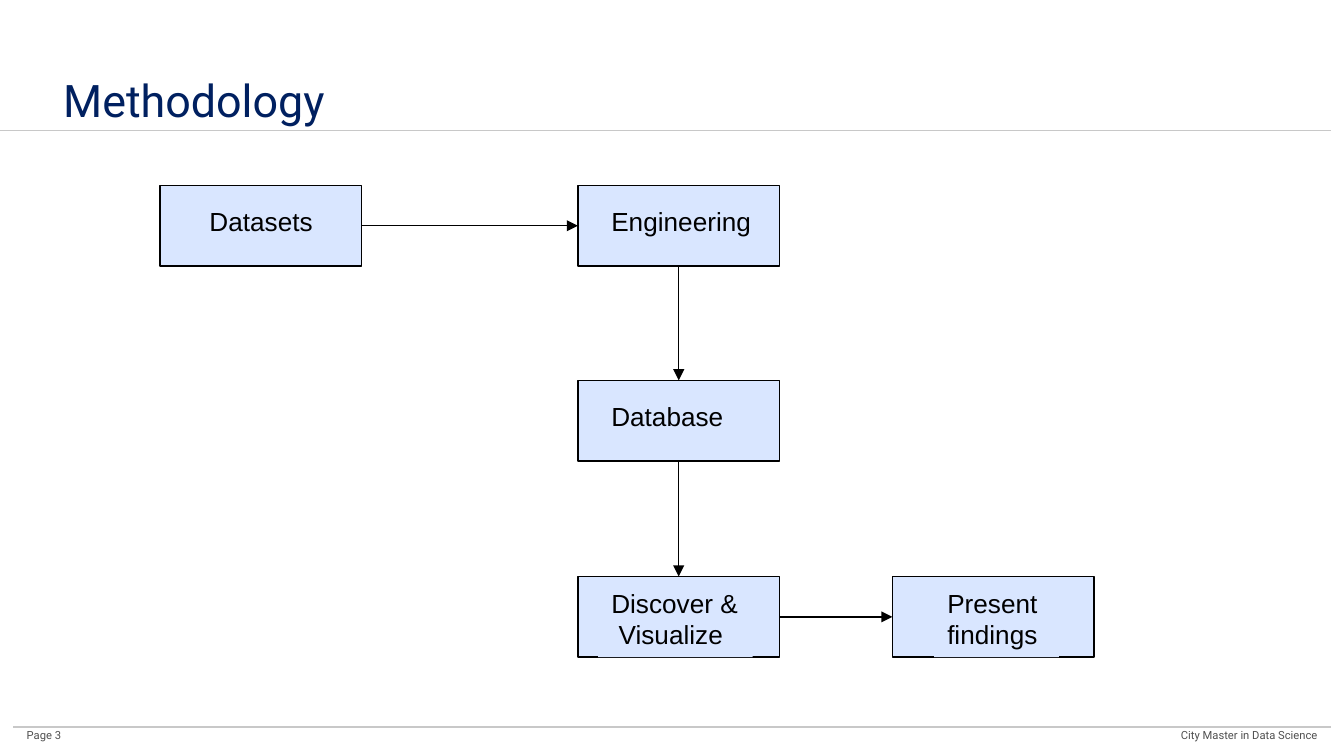
from dataclasses import dataclass
from lxml.etree import SubElement
from pptx import Presentation
from pptx.dml.color import RGBColor
from pptx.enum.shapes import MSO_CONNECTOR, MSO_SHAPE
from pptx.enum.text import MSO_ANCHOR, PP_ALIGN
from pptx.oxml.ns import qn
from pptx.util import Inches, Pt


@dataclass(frozen=True)
class Theme:
    title: str = "002060"
    footer: str = "505050"
    rule: str = "C8C8C8"
    box: str = "D9E6FF"
    ink: str = "000000"
    title_size: int = 24
    box_size: int = 14
    footer_size: int = 6
    head_font: str = "Roboto"
    body_font: str = "Arial"
    line: float = 0.75


TITLE = "Methodology"
FOOTERS = [
    ("Page 3", 0.1, 0.52, PP_ALIGN.LEFT),
    ("City Master in Data Science", 8.33, 1.57, PP_ALIGN.RIGHT),
]
RULES = [(0, 0.97), (0.1, 5.41)]
RULE_END = 9.9
COLUMNS = [1.19, 4.3, 6.64]
ROWS = [1.38, 2.83, 4.29]
BOX_W, BOX_H = 1.5, 0.6
STEPS = {
    "datasets": ("Datasets", 0, 0, 0.27, 0.98),
    "engineering": ("Engineering", 1, 0, 0.15, 1.25),
    "database": ("Database", 1, 1, 0.15, 1.04),
    "discover": ("Discover &\n Visualize", 1, 2, 0.15, 1.15),
    "present": ("Present \nfindings", 2, 2, 0.31, 0.93),
}
TOP_SITE, LEFT_SITE, BOTTOM_SITE, RIGHT_SITE = range(4)
FLOWS = [
    ("datasets", RIGHT_SITE, "engineering", LEFT_SITE),
    ("engineering", BOTTOM_SITE, "database", TOP_SITE),
    ("database", BOTTOM_SITE, "discover", TOP_SITE),
    ("discover", RIGHT_SITE, "present", LEFT_SITE),
]

theme = Theme()
prs = Presentation()
prs.slide_width = Inches(10)
prs.slide_height = Inches(10 * 9 / 16)
s = prs.slides.add_slide(prs.slide_layouts[5])


def rgb(value):
    return RGBColor.from_string(value)


def write(sp, text, font, size, color, inset_y=0.1, align=PP_ALIGN.LEFT, wrap=True):
    tf = sp.text_frame
    tf.text = text
    tf.word_wrap = wrap
    tf.vertical_anchor = MSO_ANCHOR.TOP
    tf.margin_left = tf.margin_right = Inches(0.1)
    tf.margin_top = tf.margin_bottom = Inches(inset_y)
    for p in tf.paragraphs:
        p.alignment = align
        for r in p.runs:
            r.font.name, r.font.size = font, Pt(size)
            r.font.color.rgb = rgb(color)


def add_line(x1, y1, x2, y2, color):
    cx = s.shapes.add_connector(
        MSO_CONNECTOR.STRAIGHT, Inches(x1), Inches(y1), Inches(x2), Inches(y2))
    cx.line.color.rgb = rgb(color)
    cx.line.width = Pt(theme.line)
    SubElement(cx.element.spPr, qn("a:effectLst"))
    return cx


def add_rect(group, x, y, w, h):
    sp = group.shapes.add_shape(
        MSO_SHAPE.RECTANGLE, Inches(x), Inches(y), Inches(w), Inches(h))
    sp.shadow.inherit = False
    sp.fill.solid()
    sp.fill.fore_color.rgb = rgb(theme.box)
    return sp


def add_step(text, col, row, indent, label_w):
    x, y = COLUMNS[col], ROWS[row]
    dy, label_h = (0.03, 0.57) if "\n" in text else (0.1, 0.34)
    group = s.shapes.add_group_shape()
    box = add_rect(group, x, y, BOX_W, BOX_H)
    box.line.color.rgb = rgb(theme.ink)
    box.line.width = Pt(theme.line)
    label = add_rect(group, x + indent, y + dy, label_w, label_h)
    label.line.fill.background()
    write(label, text, theme.body_font, theme.box_size, theme.ink, 0.05, wrap=False)
    return box


title = s.shapes.title
title.left, title.top, title.width, title.height = map(Inches, (0.37, 0.44, 4.09, 0.44))
write(title, TITLE, theme.head_font, theme.title_size, theme.title)

for x, y in RULES:
    add_line(x, y, RULE_END, y, theme.rule)

for text, x, w, align in FOOTERS:
    sp = s.shapes.add_textbox(Inches(x), Inches(5.37), Inches(w), Inches(0.25))
    write(sp, text, theme.head_font, theme.footer_size, theme.footer, 0.15, align)

boxes = {name: add_step(*step) for name, step in STEPS.items()}

for start, start_site, end, end_site in FLOWS:
    arrow = add_line(0, 0, 0, 0, theme.ink)
    arrow.begin_connect(boxes[start], start_site)
    arrow.end_connect(boxes[end], end_site)
    SubElement(arrow.element.spPr.find(qn("a:ln")), qn("a:tailEnd"), type="triangle")

prs.save("out.pptx")
